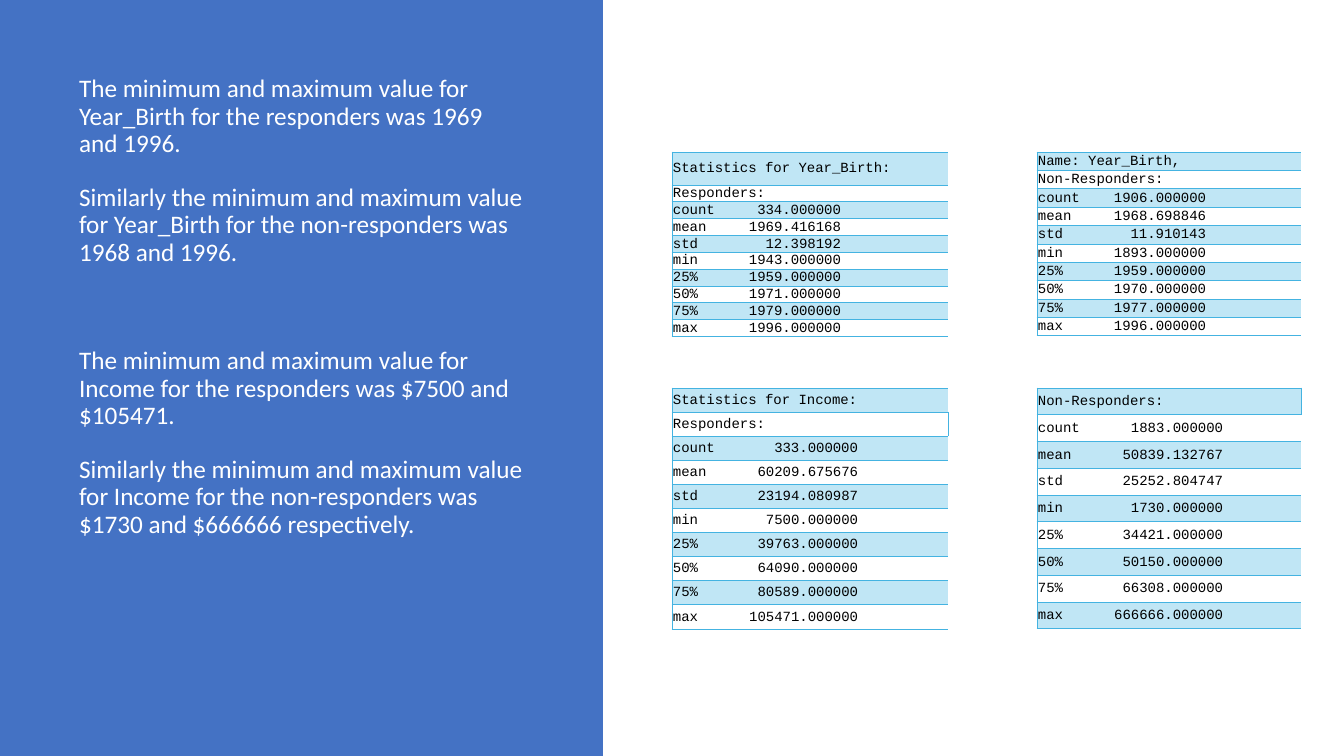
"""Build the slide comparing responder and non-responder statistics."""
from dataclasses import dataclass

from lxml.etree import SubElement
from pptx import Presentation
from pptx.dml.color import RGBColor
from pptx.enum.shapes import MSO_SHAPE as Shape
from pptx.enum.text import MSO_ANCHOR as Anchor, MSO_AUTO_SIZE as AutoSize, PP_ALIGN as Align
from pptx.oxml.ns import qn
from pptx.util import Emu, Pt

PX = 914400 / 100.8


@dataclass(frozen=True)
class Theme:
    panel: str = "4472C4"
    title: str = "FFFFFF"
    ink: str = "000000"
    band: str = "C0E6F5"
    border: str = "44B3E1"
    title_font: str = "Calibri"
    table_font: str = "Courier New"
    title_size: float = 18
    table_size: float = 10
    border_width: float = 0.5


@dataclass(frozen=True)
class Message:
    text: str
    gap: float = 0


@dataclass(frozen=True)
class StatTable:
    x: int
    y: int
    height: int
    cols: tuple[int, ...]
    headings: tuple[str, ...]
    values: tuple[str, ...]
    tab: int
    first_row: int = 0
    split_row: int = -1


THEME = Theme()
LABELS = ("count", "mean", "std", "min", "25%", "50%", "75%", "max")
MESSAGES = (
    Message("The minimum and maximum value for Year_Birth for the responders was 1969 and 1996."),
    Message("Similarly the minimum and maximum value for Year_Birth for the non-responders "
            "was 1968 and 1996.", 19.4),
    Message("The minimum and maximum value for Income for the responders was $7500 and $105471.", 58.3),
    Message("Similarly the minimum and maximum value for Income for the non-responders "
            "was $1730 and $666666 respectively.", 19.4),
)
TABLES = (
    StatTable(1037, 152, 184, (264,), ("Name: Year_Birth,", "Non-Responders:"),
              ("1906.000000", "1968.698846", "11.910143", "1893.000000",
               "1959.000000", "1970.000000", "1977.000000", "1996.000000"), 168),
    StatTable(672, 152, 184, (276,), ("Statistics for Year_Birth:", "Responders:"),
              ("334.000000", "1969.416168", "12.398192", "1943.000000",
               "1959.000000", "1971.000000", "1979.000000", "1996.000000"), 168, first_row=33),
    StatTable(672, 388, 241, (180, 96), ("Statistics for Income:", "Responders:"),
              ("333.000000", "60209.675676", "23194.080987", "7500.000000",
               "39763.000000", "64090.000000", "80589.000000", "105471.000000"), 185, split_row=1),
    StatTable(1037, 388, 241, (158, 106), ("Non-Responders:",),
              ("1883.000000", "50839.132767", "25252.804747", "1730.000000",
               "34421.000000", "50150.000000", "66308.000000", "666666.000000"), 185, split_row=0),
)


def px(n: float) -> Emu:
    """Turn pixels into EMU."""
    return Emu(round(n * PX))


def style_run(r, font: str, size: float, color: str) -> None:
    """Set the typeface, size and colour of a run."""
    r.font.name, r.font.size = font, Pt(size)
    r.font.color.rgb = RGBColor.from_string(color)


def add_panel(s) -> None:
    """Draw the coloured panel behind the title."""
    sp = s.shapes.add_shape(Shape.RECTANGLE, 0, 0, px(603), px(756))
    sp.shadow.inherit = False
    sp.fill.solid()
    sp.fill.fore_color.rgb = RGBColor.from_string(THEME.panel)
    sp.line.fill.background()
    s.shapes.title._element.addprevious(sp._element)


def add_title(s) -> None:
    """Place the title and write the messages in it."""
    sp = s.shapes.title
    sp.left, sp.top, sp.width, sp.height = px(69), px(71), px(466), px(615)
    tf = sp.text_frame
    tf.word_wrap, tf.auto_size, tf.vertical_anchor = True, AutoSize.NONE, Anchor.TOP
    for i, message in enumerate(MESSAGES):
        p = tf.add_paragraph() if i else tf.paragraphs[0]
        p.alignment, p.line_spacing = Align.LEFT, 0.9
        p.space_before = Pt(message.gap)
        r = p.add_run()
        r.text = message.text
        style_run(r, THEME.title_font, THEME.title_size, THEME.title)


def set_borders(cell, sides: str) -> None:
    """Draw the given sides of a cell and clear the others."""
    tc_pr = cell._tc.get_or_add_tcPr()
    for side in "LRTB":
        ln = SubElement(tc_pr, qn(f"a:ln{side}"), w=str(Pt(THEME.border_width)))
        if side in sides:
            fill = SubElement(ln, qn("a:solidFill"))
            SubElement(fill, qn("a:srgbClr"), val=THEME.border)
        else:
            SubElement(ln, qn("a:noFill"))


def format_cell(cell, banded: bool, sides: str) -> None:
    """Set the margins, borders, fill and empty text size of a cell."""
    cell.margin_left = cell.margin_right = cell.margin_top = px(1)
    cell.margin_bottom = 0
    cell.vertical_anchor = Anchor.MIDDLE
    set_borders(cell, sides)
    if banded:
        cell.fill.solid()
        cell.fill.fore_color.rgb = RGBColor.from_string(THEME.band)
    else:
        cell.fill.background()
    SubElement(cell.text_frame.paragraphs[0]._p, qn("a:endParaRPr"),
               sz=str(round(THEME.table_size * 100)))


def write_cell(cell, text: str, tab: int) -> None:
    """Write one line in a cell, with a right tab stop for its value."""
    p = cell.text_frame.paragraphs[0]
    p.alignment = Align.LEFT
    if "\t" in text:
        tabs = SubElement(p._p.get_or_add_pPr(), qn("a:tabLst"))
        SubElement(tabs, qn("a:tab"), pos=str(px(tab)), algn="r")
    r = p.add_run()
    r.text = text
    style_run(r, THEME.table_font, THEME.table_size, THEME.ink)


def add_stat_table(s, t: StatTable) -> None:
    """Add one banded table of statistics."""
    lines = t.headings + tuple(f"{label}\t{value}" for label, value in zip(LABELS, t.values))
    n, last = len(lines), len(t.cols) - 1
    first = t.first_row or t.height / n
    tbl = s.shapes.add_table(n, len(t.cols), px(t.x), px(t.y), px(sum(t.cols)), px(t.height)).table
    tbl.first_row = tbl.horz_banding = False
    for col, width in zip(tbl.columns, t.cols):
        col.width = px(width)
    for i, line in enumerate(lines):
        tbl.rows[i].height = px((t.height - first) / (n - 1) if i else first)
        for j in range(last + 1):
            sides = "TB" + ("L" if j == 0 else "") + ("R" if j and i == t.split_row else "")
            format_cell(tbl.cell(i, j), i % 2 == 0, sides)
        if last and i != t.split_row:
            tbl.cell(i, 0).merge(tbl.cell(i, last))
        write_cell(tbl.cell(i, 0), line, t.tab)


def main() -> None:
    """Build and save the slide."""
    prs = Presentation()
    prs.slide_width, prs.slide_height = px(1344), px(756)
    s = prs.slides.add_slide(prs.slide_layouts[5])
    add_panel(s)
    add_title(s)
    for t in TABLES:
        add_stat_table(s, t)
    prs.save("out.pptx")


if __name__ == "__main__":
    main()
